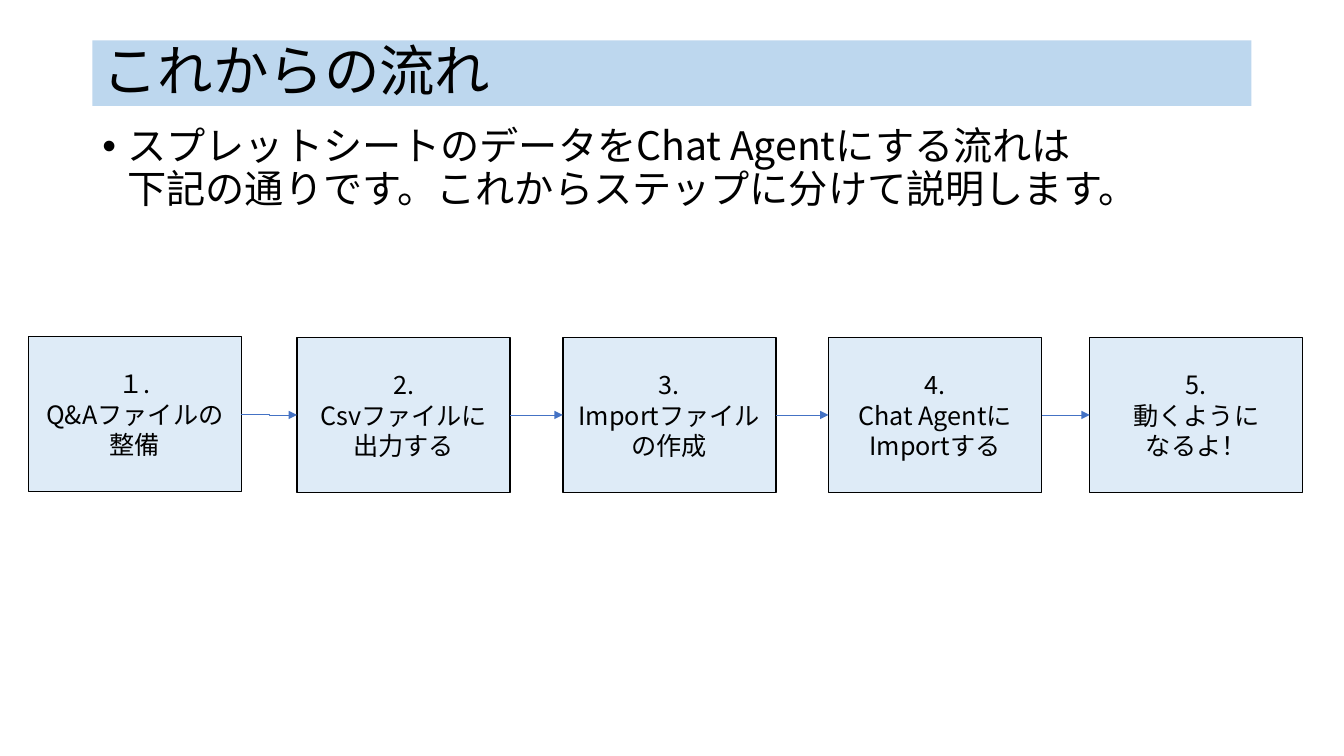
from dataclasses import dataclass
from itertools import pairwise

from lxml import etree
from pptx import Presentation
from pptx.dml.color import RGBColor
from pptx.enum.shapes import MSO_CONNECTOR, MSO_SHAPE
from pptx.enum.text import MSO_ANCHOR, PP_ALIGN
from pptx.oxml.ns import qn
from pptx.util import Pt

RECTANGLE = MSO_SHAPE.RECTANGLE
STRAIGHT, ELBOW = MSO_CONNECTOR.STRAIGHT, MSO_CONNECTOR.ELBOW
TOP, MIDDLE = MSO_ANCHOR.TOP, MSO_ANCHOR.MIDDLE
LEFT, CENTER = PP_ALIGN.LEFT, PP_ALIGN.CENTER
LEFT_SIDE, RIGHT_SIDE = 1, 3


@dataclass(frozen=True)
class Theme:
    """Colours, type sizes and line widths of the slide."""
    font: str = "Noto Sans CJK JP"
    ink: RGBColor = RGBColor(0x00, 0x00, 0x00)
    banner: RGBColor = RGBColor(0xBD, 0xD7, 0xEE)
    step: RGBColor = RGBColor(0xDE, 0xEB, 0xF7)
    arrow: RGBColor = RGBColor(0x44, 0x72, 0xC4)
    title_size: float = 39.6
    body_size: float = 28
    step_size: float = 18
    border: float = 1
    arrow_width: float = 0.5


def write_text(frame, text, theme, *, size, align=LEFT, anchor=TOP,
               spacing=1.0, before=0, bullet_indent=0):
    """Write one paragraph, with a line break at each newline."""
    frame.word_wrap = True
    frame.vertical_anchor = anchor
    paragraph = frame.paragraphs[0]
    paragraph.text = text.replace("\n", "\v")
    paragraph.alignment = align
    paragraph.line_spacing = spacing
    paragraph.space_before = Pt(before)
    for run in paragraph.runs:
        run.font.name = theme.font
        run.font.size = Pt(size)
        run.font.color.rgb = theme.ink
        east_asian = etree.SubElement(run.font._element, qn("a:ea"))
        east_asian.set("typeface", theme.font)
    if bullet_indent:
        properties = paragraph._p.get_or_add_pPr()
        properties.set("marL", str(Pt(bullet_indent)))
        properties.set("indent", str(-Pt(bullet_indent)))
        etree.SubElement(properties, qn("a:buFont")).set("typeface", "Arial")
        etree.SubElement(properties, qn("a:buChar")).set("char", "•")


class FlowSlide:
    """Draws the elements of a process slide in one theme."""

    def __init__(self, slide, theme):
        self.shapes = slide.shapes
        self.theme = theme

    def panel(self, bounds, text, fill, border=None, **text_format):
        """Add a filled rectangle with text."""
        panel = self.shapes.add_shape(RECTANGLE, *map(Pt, bounds))
        panel.shadow.inherit = False
        panel.fill.solid()
        panel.fill.fore_color.rgb = fill
        if border:
            panel.line.color.rgb = self.theme.ink
            panel.line.width = Pt(border)
        else:
            panel.line.fill.background()
        write_text(panel.text_frame, text, self.theme, anchor=MIDDLE, **text_format)
        return panel

    def title(self, bounds, text):
        """Add the title banner."""
        return self.panel(bounds, text, self.theme.banner,
                          size=self.theme.title_size, spacing=0.9)

    def step(self, bounds, text):
        """Add one bordered step of the flow."""
        return self.panel(bounds, text, self.theme.step, self.theme.border,
                          size=self.theme.step_size, align=CENTER)

    def bullet(self, bounds, text):
        """Add the bulleted introduction."""
        introduction = self.shapes.add_textbox(*map(Pt, bounds))
        write_text(introduction.text_frame, text, self.theme,
                   size=self.theme.body_size, spacing=0.9, before=10,
                   bullet_indent=18)

    def arrow(self, source, target):
        """Join two steps, with an elbow where their tops differ."""
        route = STRAIGHT if source.top == target.top else ELBOW
        arrow = self.shapes.add_connector(route, 0, 0, 0, 0)
        arrow.begin_connect(source, RIGHT_SIDE)
        arrow.end_connect(target, LEFT_SIDE)
        arrow.line.color.rgb = self.theme.arrow
        arrow.line.width = Pt(self.theme.arrow_width)
        etree.SubElement(arrow.line._get_or_add_ln(), qn("a:tailEnd")).set("type", "triangle")
        etree.SubElement(arrow._element.spPr, qn("a:effectLst"))


STEP_SIZE = (152.2, 110.8)
STEPS = [
    (20.2, 240.4, "１.\nQ&Aファイルの\n整備"),
    (212.2, 241, "2.\nCsvファイルに\n出力する"),
    (402, 241, "3.\nImportファイルの作成"),
    (591.8, 241, "4.\nChat Agentに\nImportする"),
    (778.4, 241, "5.\n動くように\nなるよ！"),
]


def main():
    """Build the slide and save it."""
    presentation = Presentation()
    presentation.slide_width, presentation.slide_height = Pt(960), Pt(540)
    blank = presentation.slide_layouts[6]
    flow = FlowSlide(presentation.slides.add_slide(blank), Theme())
    flow.title((66, 28.8, 828, 46.8), "これからの流れ")
    flow.bullet((66, 87.1, 828, 399.6),
                "スプレットシートのデータをChat Agentにする流れは\n"
                "下記の通りです。これからステップに分けて説明します。")
    steps = [flow.step((left, top, *STEP_SIZE), text) for left, top, text in STEPS]
    for source, target in pairwise(steps):
        flow.arrow(source, target)
    presentation.save("out.pptx")


if __name__ == "__main__":
    main()
